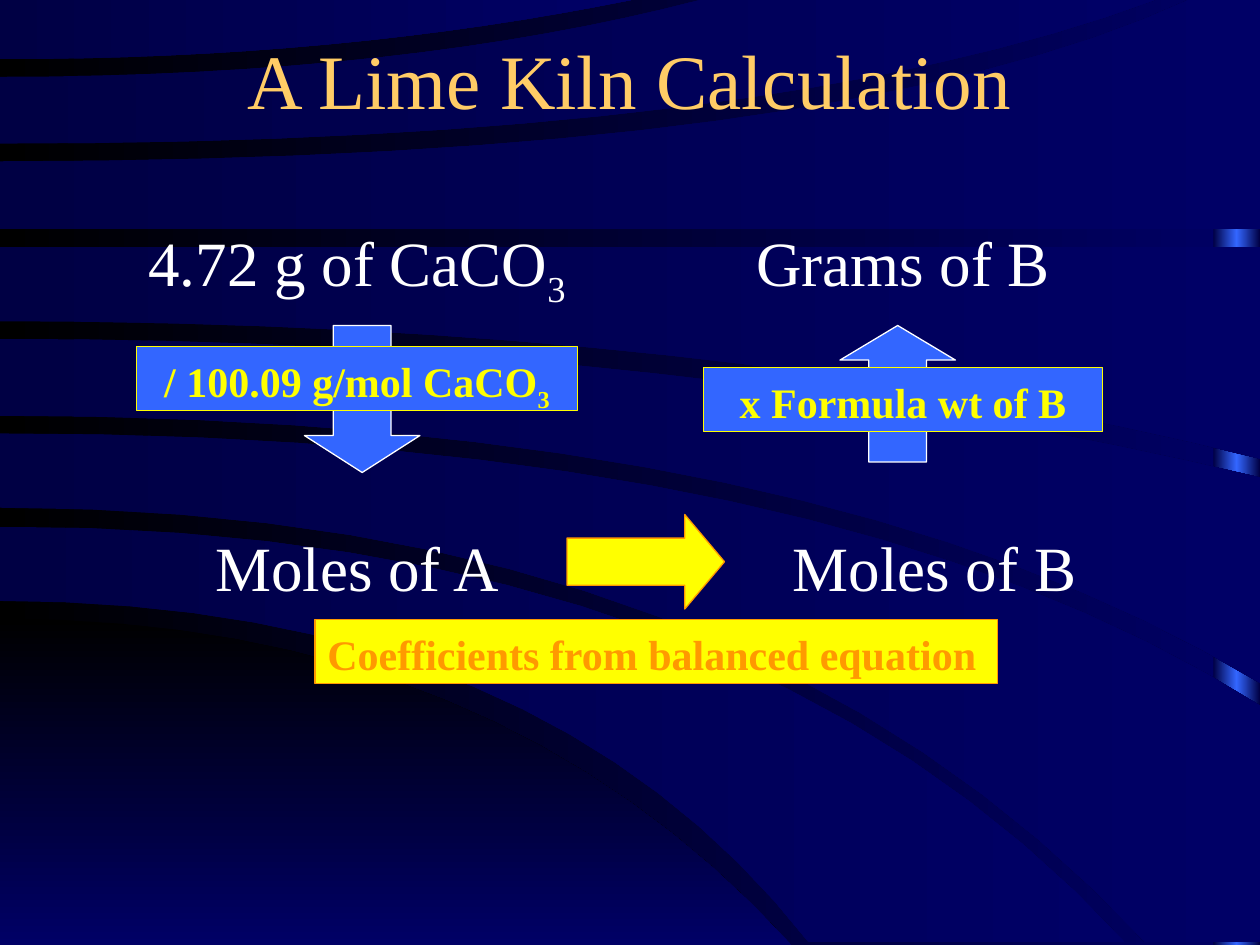
from copy import deepcopy

from pptx import Presentation
from pptx.dml.color import RGBColor
from pptx.enum.shapes import MSO_SHAPE
from pptx.enum.text import MSO_ANCHOR, PP_ALIGN
from pptx.util import Inches, Pt

RECT, DOWN, UP, RIGHT = (MSO_SHAPE.RECTANGLE, MSO_SHAPE.DOWN_ARROW,
                         MSO_SHAPE.UP_ARROW, MSO_SHAPE.RIGHT_ARROW)
LEFT_ALIGN, CENTER = PP_ALIGN.LEFT, PP_ALIGN.CENTER
TOP, MIDDLE = MSO_ANCHOR.TOP, MSO_ANCHOR.MIDDLE

BLACK = RGBColor(0x00, 0x00, 0x00)
NAVY = RGBColor(0x00, 0x00, 0x66)
DARK_NAVY = RGBColor(0x00, 0x00, 0x44)
BLUE = RGBColor(0x33, 0x66, 0xFF)
WHITE = RGBColor(0xFF, 0xFF, 0xFF)
YELLOW = RGBColor(0xFF, 0xFF, 0x00)
ORANGE = RGBColor(0xFF, 0x99, 0x00)
GOLD = RGBColor(0xFF, 0xCC, 0x66)
FONT = "Times New Roman"

WIDTH, HEIGHT = Inches(10), Inches(7.5)
COLS, ROWS = 120, 90
CELL = WIDTH // COLS
STEPS = 16

# Upper and lower edge of each band, in inches. An edge leaves the left side
# level at y, bends towards x = bend and ends at (end_x, end_y).
HILL = (4.91, 3.93, 6.28, 7.5), (7.5, 3, 6.28, 7.5)
WAVES = [
    ((4.18, 5.9, 8.93, 7.48), (4.77, 4.3, 6.42, 7.48)),
    ((3.44, 6.6, 10, 5.6), (4.03, 5.9, 9.09, 7.48)),
    ((2.69, 5.4, 10, 3.79), (3.3, 6.5, 10, 5.42)),
    ((1.96, 5, 10, 1.96), (2.55, 5.66, 10, 3.64)),
    ((1.28, 6.66, 9.43, 0), (1.82, 5, 10, 1.82)),
    ((0.61, 3.22, 5.56, 0), (1.14, 6.11, 9.17, 0)),
    ((0, 2.5, 5.01, 0), (0.47, 2.7, 5.01, 0)),
]


def set_gradient(fill, element, colors, angle=0):
    """Spread colors evenly; element is the XML parent of the fill."""
    fill.gradient()
    fill.gradient_angle = angle
    stops = element.xpath(".//a:gsLst")[0]
    while len(stops) < len(colors):
        stops.append(deepcopy(stops[-1]))
    for i, (stop, color) in enumerate(zip(fill.gradient_stops, colors)):
        stop.color.rgb = color
        stop.position = i / (len(colors) - 1)


def finish_backdrop_part(sp, colors, angle=0):
    set_gradient(sp.fill, sp._element, colors, angle)
    sp.line.fill.background()
    sp.shadow.inherit = False


def edge_points(y, bend, end_x, end_y):
    """Sample a quadratic curve that starts level at the left side."""
    shares = [i / STEPS for i in range(STEPS + 1)]
    return [(2 * t * (1 - t) * bend + t * t * end_x, y + t * t * (end_y - y))
            for t in shares]


def draw_band(slide, edges, colors, angle=0):
    upper, lower = [edge_points(*edge) for edge in edges]
    shorter, longer = sorted([upper[-1], lower[-1]])
    corner = (longer[0], shorter[1])
    points = [(Inches(x), Inches(y))
              for x, y in upper + [corner] + lower[::-1]]
    builder = slide.shapes.build_freeform(*points[0])
    builder.add_line_segments(points[1:], close=True)
    finish_backdrop_part(builder.convert_to_shape(), colors, angle)


def draw_backdrop(slide):
    set_gradient(slide.background.fill, slide._element, [BLACK, NAVY])
    strip = Inches(0.37)
    sp = slide.shapes.add_shape(RECT, WIDTH - strip, 0, strip, HEIGHT)
    finish_backdrop_part(sp, [DARK_NAVY, BLUE, DARK_NAVY])
    draw_band(slide, HILL, [BLACK, NAVY], 270)
    for wave in WAVES:
        draw_band(slide, wave, [DARK_NAVY, NAVY])


def style_run(r, size, color, bold=False):
    r.font.name, r.font.size, r.font.bold = FONT, Pt(size), bold
    r.font.color.rgb = color


def set_text(sp, text, subscript, size, color, bold=False, align=CENTER):
    tf = sp.text_frame
    tf.word_wrap, tf.vertical_anchor = True, TOP
    tf.margin_top, tf.margin_bottom = Inches(0.003 * size), 0
    p = tf.paragraphs[0]
    p.text, p.alignment = text, align
    if subscript:
        r = p.add_run()
        r.text = subscript
        r._r.get_or_add_rPr().set("baseline", "-25000")
    for r in p.runs:
        style_run(r, size, color, bold)


def draw_title(slide, left, top, width, height):
    title = slide.shapes.title
    title.left, title.top = left * CELL, top * CELL
    title.width, title.height = width * CELL, height * CELL
    tf = title.text_frame
    tf.text, tf.vertical_anchor = "A Lime Kiln Calculation", MIDDLE
    p = tf.paragraphs[0]
    p.alignment = CENTER
    style_run(p.runs[0], 44, GOLD)
    slide.shapes._spTree.append(title._element)  # in front of the backdrop


def draw_conversion(slide, left, top):
    """Grams-to-moles route; left and top are its first column and row."""
    def box(col, row, cols, rows):
        return [int(n * CELL) for n in (left + col, top + row, cols, rows)]

    def add_filled(kind, place, fill, line):
        sp = slide.shapes.add_shape(kind, *box(*place))
        sp.fill.solid()
        sp.fill.fore_color.rgb = fill
        sp.line.color.rgb, sp.line.width = line, Pt(0.75)
        sp.shadow.inherit = False
        return sp

    for col, row, text, subscript in [(0, 0, "4.72 g of CaCO", "3"),
                                      (52, 0, "Grams of B", ""),
                                      (0, 29, "Moles of A", ""),
                                      (55, 29, "Moles of B", "")]:
        sp = slide.shapes.add_textbox(*box(col, row, 44, 8.4))
        set_text(sp, text, subscript, 36, WHITE)

    for kind, place, head, fill, line in [
            (DOWN, (17, 11, 11, 14), 0.32, BLUE, WHITE),
            (RIGHT, (42, 29, 15, 9), 0.42, YELLOW, ORANGE),
            (UP, (68, 11, 11, 13), 0.3, BLUE, WHITE)]:
        add_filled(kind, place, fill, line).adjustments[1] = head

    for col, row, cols, text, subscript, fill, ink, align in [
            (18, 39, 65, "Coefficients from balanced equation", "",
             YELLOW, ORANGE, LEFT_ALIGN),
            (55, 15, 38, "x Formula wt of B", "", BLUE, YELLOW, CENTER),
            (1, 13, 42, "/ 100.09 g/mol CaCO", "3", BLUE, YELLOW, CENTER)]:
        sp = add_filled(RECT, (col, row, cols, 6.1), fill, YELLOW
                        if fill == BLUE else ORANGE)
        set_text(sp, text, subscript, 24, ink, True, align)


def main():
    prs = Presentation()
    prs.slide_width, prs.slide_height = WIDTH, HEIGHT
    slide = prs.slides.add_slide(prs.slide_layouts[5])
    draw_backdrop(slide)
    draw_title(slide, 9, 0, COLS - 18, ROWS // 6)
    draw_conversion(slide, 12, 20)
    prs.save("out.pptx")


if __name__ == "__main__":
    main()
